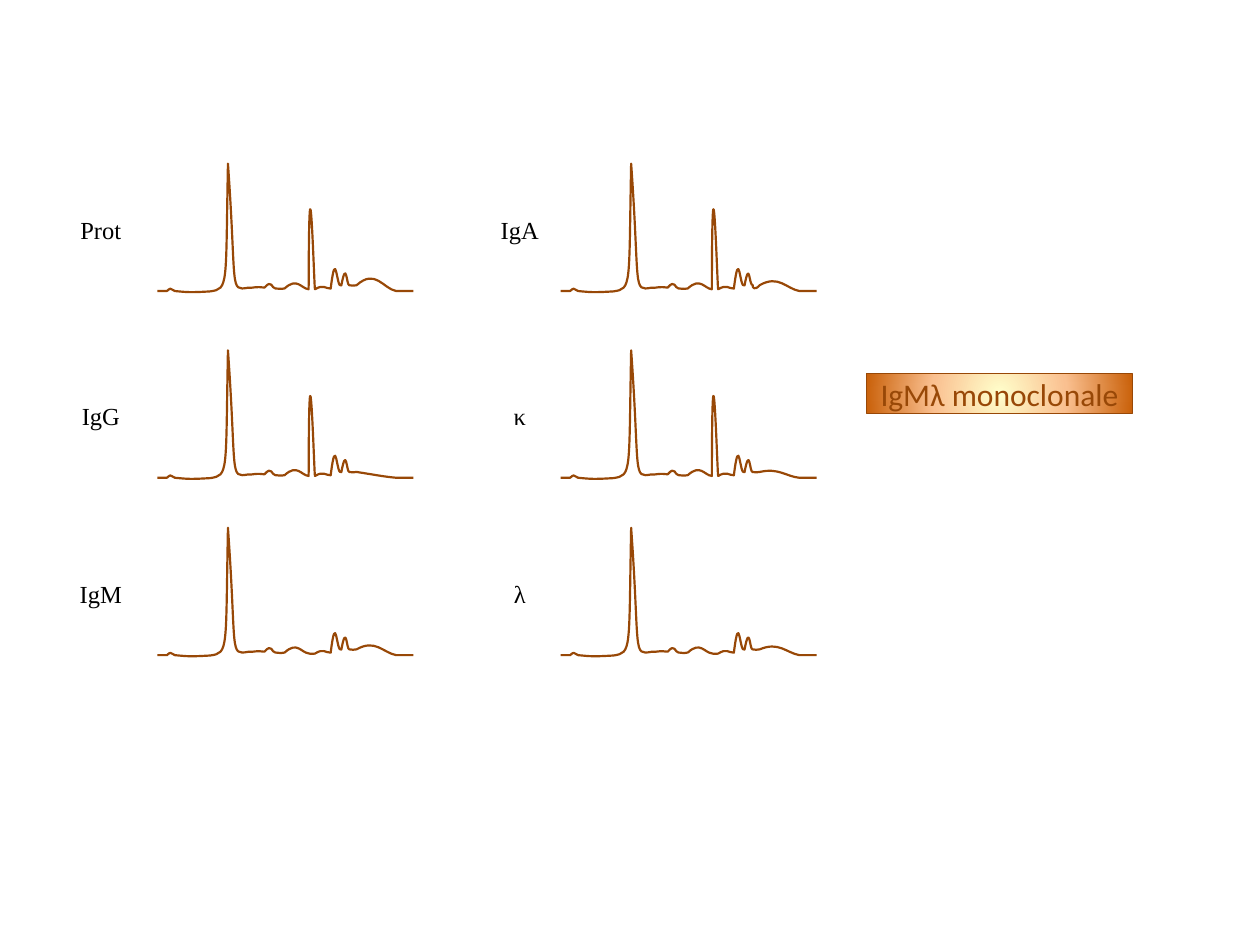
from dataclasses import dataclass

import lxml.etree
import pptx
import pptx.dml.color
import pptx.enum.shapes
import pptx.enum.text
import pptx.oxml
import pptx.oxml.ns
import pptx.util
from pptx.util import Pt

Segment = tuple[tuple[float, float], ...]

COLORS = {
    "trace": "984807",
    "label": "000000",
    "center": "FFFFCC",
    "middle": "FAC090",
    "edge": "C96009",
}

ALBUMIN_TO_ALPHA: list[Segment] = [
    ((5.4, 0),),
    ((7.9, -2), (6.8, -1.5), (10, 0)),
    ((17.3, 0.7), (18.4, 0.9), (30.2, 0.2)),
    ((40.7, -1.4), (38.9, -2.2), (40.3, -72.8)),
    ((45.4, -1.4), (41, 0), (51.8, -1.9)),
    ((53.8, -1.9),),
    ((59.2, -2.6), (58.3, -2), (60.8, -2)),
    ((61.2, -2),),
    ((65.5, -7), (65.2, -1.5), (67.3, -1.5)),
    ((69.1, -1.5), (70, -0.9), (72.7, -1.5)),
    ((79.9, -8.1), (82.1, -1.4), (86.4, -1)),
]
MONOCLONAL_SPIKE: Segment = ((86.6, -104.4), (89.6, -0.6), (90, -1))
FLAT_GAP: Segment = ((86.8, -0.7), (89.6, -0.7), (90, -0.9))
BETA: list[Segment] = [
    ((95, -4), (95.8, -1.4), (99, -1.4)),
    ((102.2, -27), (102.2, -0.7), (105.1, -3.2)),
]
BETA_END: list[Segment] = [
    ((108, -18.7), (108, -3.3), (109.6, -3.3)),
    ((111.2, -3.3), (112.3, -2.7), (113.8, -3.3)),
]
BETA_END_DIP: list[Segment] = [
    ((108, -18.7), (107.6, -2.9), (109.8, -3.3)),
    ((109.4, -2), (110.9, 0), (113.8, -3.4)),
]
GAMMA_END = (136.4, 0)
TRACE_END: Segment = ((146.2, 0),)

TRACE_LEFTS = (90, 320.4)
LABEL_CENTERS = (57.6, 297)
BASELINES = (166.3, 273, 374.4)
LABEL_RISE = 35.3
LABEL_WIDTH, LABEL_HEIGHT = 25.2, 18.7


@dataclass(frozen=True)
class Electrophoresis:
    label: str
    column: int
    row: int
    gamma_rise: tuple[float, float]
    gamma_fall: tuple[float, float] = (128.9, -1.4)
    spike: bool = True
    dip: bool = False

    def segments(self) -> list[Segment]:
        return [
            *ALBUMIN_TO_ALPHA,
            MONOCLONAL_SPIKE if self.spike else FLAT_GAP,
            *BETA,
            *(BETA_END_DIP if self.dip else BETA_END),
            (self.gamma_rise, self.gamma_fall, GAMMA_END),
            TRACE_END,
        ]


LANES = [
    Electrophoresis("Prot", 0, 0, (124.6, -13)),
    Electrophoresis("IgG", 0, 1, (126, -1.4), (128.9, -0.7)),
    Electrophoresis("IgM", 0, 2, (124.6, -9.4), spike=False),
    Electrophoresis("IgA", 1, 0, (124.6, -9.4), dip=True),
    Electrophoresis("κ", 1, 1, (124.6, -5.8), (128.9, -0.7)),
    Electrophoresis("λ", 1, 2, (124.6, -7.9), spike=False),
]


def rgb(name: str) -> pptx.dml.color.RGBColor:
    return pptx.dml.color.RGBColor.from_string(COLORS[name])


def write_text(shape, text: str, font: str, size: float, color: str) -> None:
    frame = shape.text_frame
    frame.text = text
    frame.vertical_anchor = pptx.enum.text.MSO_ANCHOR.MIDDLE
    paragraph = frame.paragraphs[0]
    paragraph.alignment = pptx.enum.text.PP_ALIGN.CENTER
    run = paragraph.runs[0]
    run.font.name = font
    run.font.size = Pt(size)
    run.font.color.rgb = rgb(color)


def outline(shape, width: float) -> None:
    shape.shadow.inherit = False
    shape.line.color.rgb = rgb("trace")
    shape.line.width = Pt(width)


def draw_trace(slide, lane: Electrophoresis) -> None:
    left, baseline = TRACE_LEFTS[lane.column], BASELINES[lane.row]
    segments = lane.segments()
    builder = slide.shapes.build_freeform(Pt(left), Pt(baseline))
    builder.add_line_segments(
        [(Pt(left + x), Pt(baseline + y)) for segment in segments for x, y in segment],
        close=False,
    )
    trace = builder.convert_to_shape()
    steps = iter(trace._element.xpath(".//a:lnTo"))
    for segment in segments:
        first, *others = [next(steps) for _ in segment]
        if others:
            curve = lxml.etree.Element(pptx.oxml.ns.qn("a:cubicBezTo"))
            first.addprevious(curve)
            for step in (first, *others):
                curve.append(step[0])
                step.getparent().remove(step)
    trace.fill.background()
    outline(trace, 1.25)


def draw_label(slide, lane: Electrophoresis) -> None:
    label = slide.shapes.add_textbox(
        Pt(LABEL_CENTERS[lane.column] - LABEL_WIDTH / 2),
        Pt(BASELINES[lane.row] - LABEL_RISE - LABEL_HEIGHT / 2),
        Pt(LABEL_WIDTH),
        Pt(LABEL_HEIGHT),
    )
    frame = label.text_frame
    frame.word_wrap = False
    frame.margin_left = frame.margin_right = 0
    frame.margin_top = frame.margin_bottom = Pt(0.7)
    write_text(label, lane.label, "Times New Roman", 14, "label")


def fill_radial(shape, stops: dict[int, str]) -> None:
    shape.fill.gradient()
    linear = shape._element.spPr.find(pptx.oxml.ns.qn("a:gradFill"))
    stop_xml = "".join(
        f'<a:gs pos="{percent * 1000}"><a:srgbClr val="{COLORS[name]}"/></a:gs>'
        for percent, name in stops.items()
    )
    radial = pptx.oxml.parse_xml(
        f'<a:gradFill {pptx.oxml.ns.nsdecls("a")} rotWithShape="1">'
        f"<a:gsLst>{stop_xml}</a:gsLst>"
        '<a:path path="circle">'
        '<a:fillToRect l="50000" t="50000" r="50000" b="50000"/>'
        "</a:path></a:gradFill>"
    )
    linear.getparent().replace(linear, radial)


def draw_diagnosis(slide) -> None:
    diagnosis = slide.shapes.add_shape(
        pptx.enum.shapes.MSO_SHAPE.RECTANGLE, Pt(495.2), Pt(213.6), Pt(152), Pt(22.6)
    )
    outline(diagnosis, 0.75)
    fill_radial(diagnosis, {0: "center", 50: "middle", 100: "edge"})
    diagnosis.text_frame.word_wrap = True
    write_text(diagnosis, "IgMλ monoclonale", "Calibri", 18, "trace")


def main() -> None:
    presentation = pptx.Presentation()
    presentation.slide_width, presentation.slide_height = Pt(720), Pt(540)
    slide = presentation.slides.add_slide(presentation.slide_layouts[6])
    for lane in LANES:
        draw_trace(slide, lane)
        draw_label(slide, lane)
    draw_diagnosis(slide)
    presentation.save("out.pptx")


if __name__ == "__main__":
    main()
